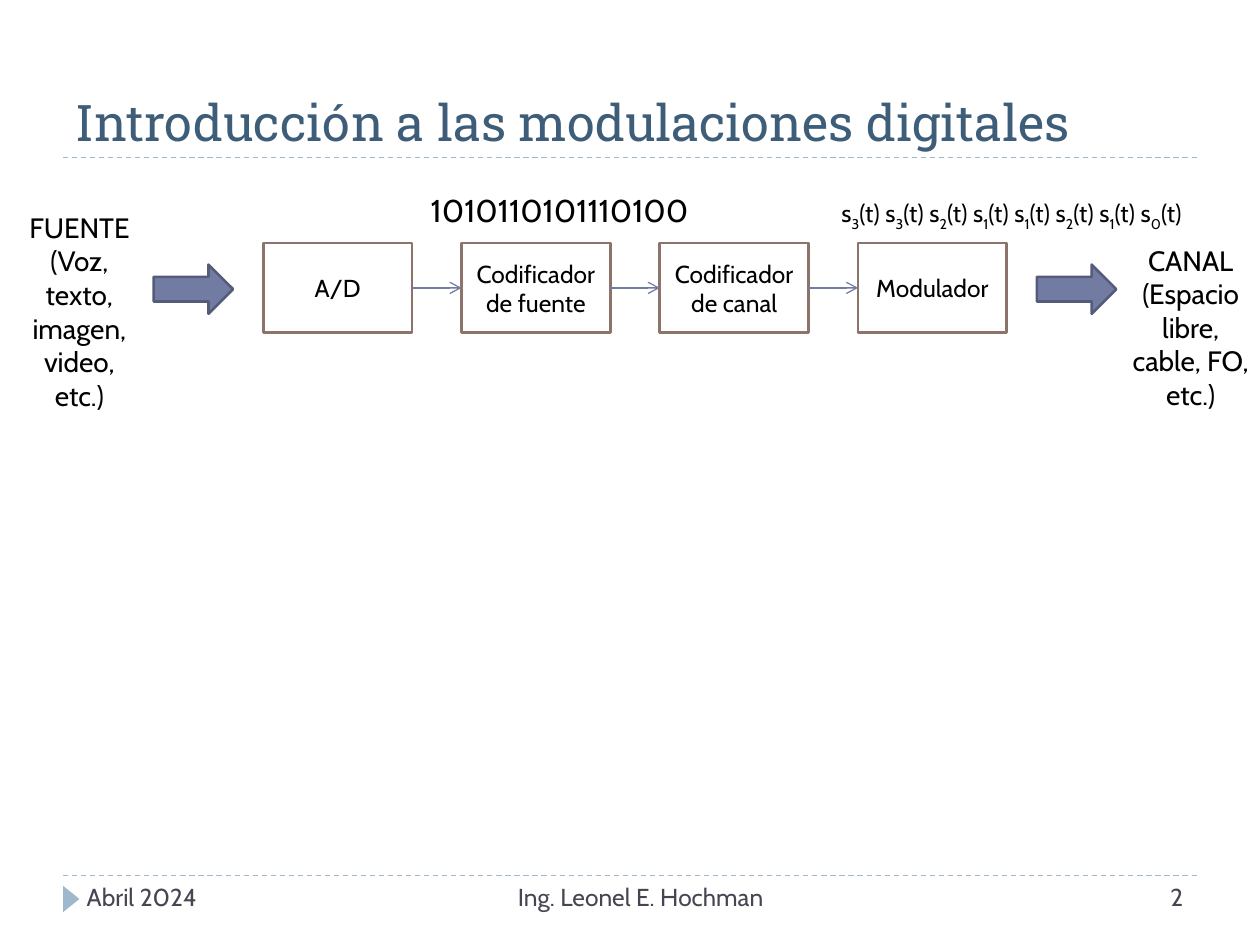
import pptx
import pptx.util
import pptx.dml.color
import pptx.enum.dml
import pptx.enum.shapes
import pptx.enum.text
import pptx.oxml
import pptx.oxml.ns
import lxml.etree

Inches = pptx.util.Inches
ALIGN = pptx.enum.text.PP_ALIGN
ANCHOR = pptx.enum.text.MSO_ANCHOR
SHAPE = pptx.enum.shapes.MSO_SHAPE
COLORS = {
    "title": "3E5D78", "footer": "464653", "text": "000000", "rule": "9FB8CD",
    "block": "FFFFFF", "border": "8E736A", "arrow": "727CA3", "arrow_edge": "545C79",
}


def color(name):
    """Return the named colour."""
    return pptx.dml.color.RGBColor.from_string(COLORS[name])


def add_span(para, text, size, tint="text", face="Cabin"):
    """Append formatted text to a paragraph and return it."""
    span = para.add_run()
    span.text = text
    for name, value in {"size": pptx.util.Pt(size), "name": face}.items():
        setattr(span.font, name, value)
    span.font.color.rgb = color(tint)
    return span


def write(shape, lines, size, align=ALIGN.LEFT, anchor=ANCHOR.TOP, **style):
    """Fill a shape with one paragraph per line."""
    frame = shape.text_frame
    for name, value in {"word_wrap": True, "vertical_anchor": anchor}.items():
        setattr(frame, name, value)
    for index, line in enumerate(lines):
        para = frame.add_paragraph() if index else frame.paragraphs[0]
        para.alignment = align
        add_span(para, line, size, **style)


def add_text(page, box, lines, size, **style):
    """Add a wrapped text box."""
    shape = page.shapes.add_textbox(*map(Inches, box))
    write(shape, lines, size, **style)


def add_figure(page, kind, box, fill, edge=None):
    """Add a flat preset shape."""
    shape = page.shapes.add_shape(kind, *map(Inches, box))
    shape.shadow.inherit = False
    shape.fill.solid()
    shape.fill.fore_color.rgb = color(fill)
    if edge:
        shape.line.color.rgb = color(edge)
        shape.line.width = pptx.util.Pt(1.5)
    else:
        shape.line.fill.background()
    return shape


def add_line(page, start, end, tint):
    """Add a thin straight connector without shadow."""
    kind = pptx.enum.shapes.MSO_CONNECTOR.STRAIGHT
    line = page.shapes.add_connector(kind, *map(Inches, start + end))
    line.line.color.rgb = color(tint)
    line.line.width = pptx.util.Pt(0.75)
    lxml.etree.SubElement(line._element.spPr, pptx.oxml.ns.qn("a:effectLst"))
    return line


def add_rule(page, left, top, width):
    """Add a dashed horizontal rule."""
    rule = add_line(page, (left, top), (left + width, top), "rule")
    rule.line.dash_style = pptx.enum.dml.MSO_LINE.DASH


def add_title(page, box):
    """Place the heading above its rule."""
    left, top, width, height = box
    add_rule(page, left, top + height, width)
    add_text(page, box, ["Introducción a las modulaciones digitales"], 28.8,
             anchor=ANCHOR.BOTTOM, tint="title", face="Roboto Slab")


def add_footer(page, box):
    """Place the rule, marker, date, author and page number."""
    left, top, width, height = box
    add_rule(page, left, top, width)
    marker = add_figure(page, SHAPE.ISOSCELES_TRIANGLE,
                        (left - 0.04, top + 0.12, 0.21, 0.13), "rule")
    marker.rotation = 90
    for text, offset, span, align in (
        ("Abril 2024", 0.09, 2.5, ALIGN.LEFT),
        ("Ing. Leonel E. Hochman", 2.67, 3.83, ALIGN.CENTER),
        ("2", 6.82, 2.17, ALIGN.RIGHT),
    ):
        add_text(page, (left + offset, top, span, height), [text], 14,
                 align=align, tint="footer")


def add_chain(page, box):
    """Place the evenly spaced blocks and the arrows linking them."""
    left, top, width, height = box
    names = ["A/D", "Codificador de fuente", "Codificador de canal", "Modulador"]
    block = 1.18
    step = (width - block) / (len(names) - 1)
    middle = top + height / 2
    for index, name in enumerate(names):
        x = left + index * step
        shape = add_figure(page, SHAPE.RECTANGLE, (x, top, block, height),
                           "block", "border")
        write(shape, [name], 14, align=ALIGN.CENTER, anchor=ANCHOR.MIDDLE)
        if index:
            link = add_line(page, (x - step + block, middle), (x, middle), "arrow")
            outline = link.line._get_or_add_ln()
            lxml.etree.SubElement(outline, pptx.oxml.ns.qn("a:tailEnd"), type="arrow")


def add_endpoint(page, box, lines, arrow_offset):
    """Place a source or channel label with its block arrow."""
    add_text(page, box, lines, 16, align=ALIGN.CENTER)
    add_figure(page, SHAPE.RIGHT_ARROW, (box[0] + arrow_offset, 2.1, 0.63, 0.39),
               "arrow", "arrow_edge")


def add_signals(page, box):
    """Place the bit stream and, at a tab stop, its symbol sequence."""
    shape = page.shapes.add_textbox(*map(Inches, box))
    shape.text_frame.word_wrap = True
    para = shape.text_frame.paragraphs[0]
    tabs = lxml.etree.SubElement(para._p.get_or_add_pPr(), pptx.oxml.ns.qn("a:tabLst"))
    lxml.etree.SubElement(tabs, pptx.oxml.ns.qn("a:tab"),
                          pos=str(Inches(3.26)), algn="l")
    add_span(para, "1010110101110100\t", 18)
    lead = "s"
    for digit in "33211210":
        add_span(para, lead, 14)
        index = add_span(para, digit, 14)
        index._r.get_or_add_rPr().set("baseline", "-25000")
        lead = "(t) s"
    add_span(para, "(t)", 14)


def main():
    """Build and save the slide."""
    deck = pptx.Presentation()
    deck.slide_width, deck.slide_height = Inches(10), Inches(7.5)
    page = deck.slides.add_slide(deck.slide_layouts[6])
    add_title(page, (0.5, 0.17, 9, 1.08))
    add_footer(page, (0.5, 6.95, 9, 0.4))
    add_chain(page, (2.09, 1.93, 5.9, 0.71))
    add_endpoint(page, (0.04, 1.62, 1.18, 1.72),
                 ["FUENTE", "(Voz, texto, imagen, video, etc.)"], 1.18)
    add_endpoint(page, (8.86, 1.88, 1.18, 1.45),
                 ["CANAL", "(Espacio libre, cable, FO, etc.)"], -0.63)
    add_signals(page, (3.32, 1.47, 6.4, 0.4))
    deck.save("out.pptx")


if __name__ == "__main__":
    main()
